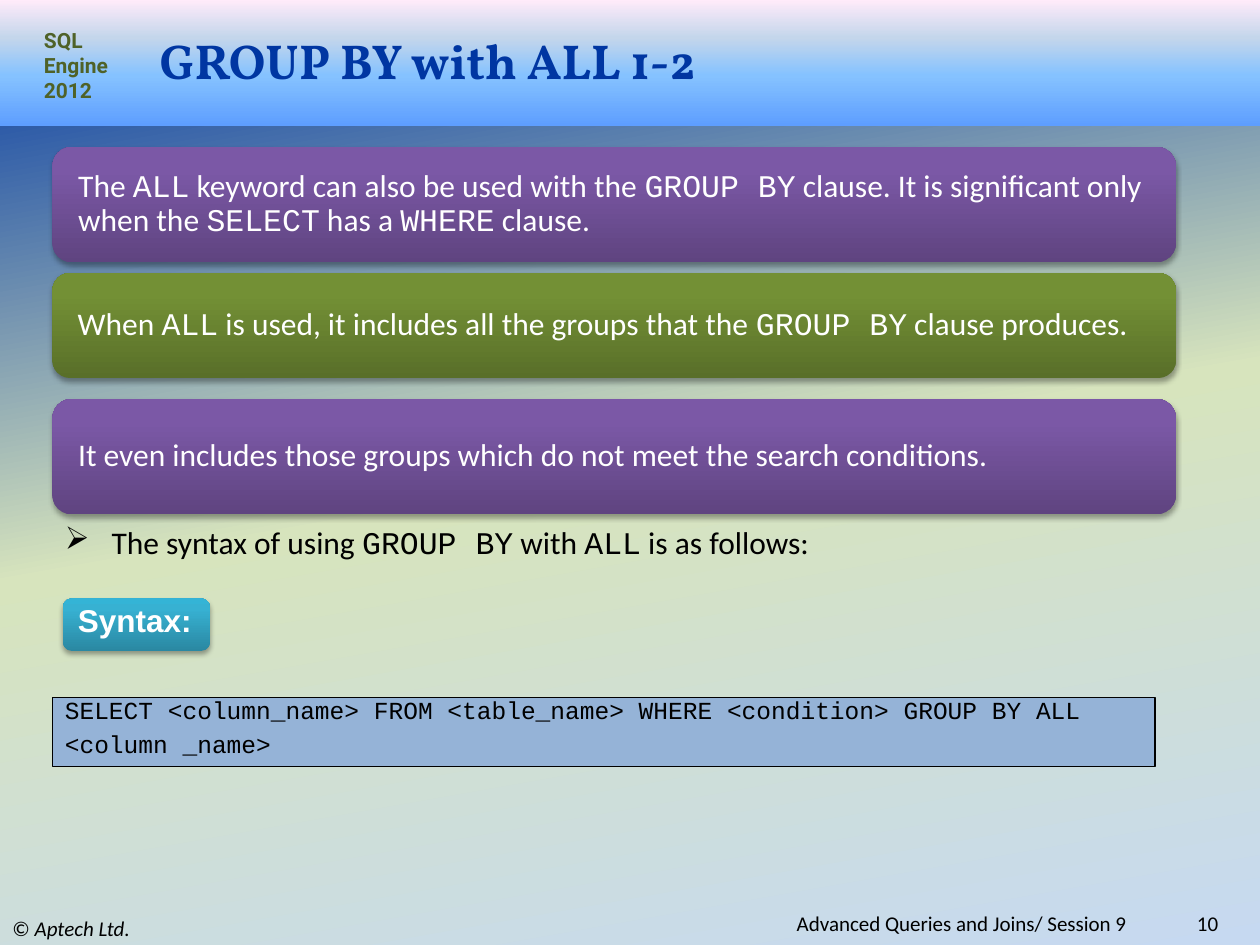
import lxml.etree
import pptx
import pptx.dml.color
import pptx.enum.shapes
import pptx.enum.text
import pptx.oxml.ns
import pptx.util

COLORS = {
    "title": "0036A2", "badge": "4F6228", "white": "FFFFFF", "black": "000000",
    "code": "95B3D7",
}
GRADIENTS = {
    "background": [(0, "0036A2"), (50, "D7E4BD"), (100, "C6D9F1")],
    "header": [(0, "5E9EFF"), (40, "85C2FF"), (70, "C4D6EB"), (100, "FFEBFA")],
    "purple": [(0, "5F4480"), (80, "7B58A6"), (100, "7C57A8")],
    "green": [(0, "596F29"), (80, "739035"), (100, "749334")],
    "teal": [(0, "2A88A2"), (80, "37B1D2"), (100, "34B4D6")],
}
CELL = 1 / 12
SHAPES = pptx.enum.shapes.MSO_SHAPE
ALIGN = pptx.enum.text.PP_ALIGN
ANCHOR = pptx.enum.text.MSO_ANCHOR
CARDS = [
    (14, 11, "purple", "The `ALL` keyword can also be used with the `GROUP BY` clause. "
     "It is significant only when the `SELECT` has a `WHERE` clause."),
    (26, 10, "green", "When `ALL` is used, it includes all the groups that the "
     "`GROUP BY` clause produces."),
    (38, 11, "purple", "It even includes those groups which do not meet the search conditions."),
]


def grid(*cells):
    return [pptx.util.Inches(cell * CELL) for cell in cells]


def color(name):
    return pptx.dml.color.RGBColor.from_string(COLORS[name])


def add_element(parent, tag, **attributes):
    element = lxml.etree.SubElement(parent, pptx.oxml.ns.qn(tag))
    for name, value in attributes.items():
        element.set(name, str(value))
    return element


def paint_gradient(fill, owner, name, angle=90):
    fill.gradient()
    fill.gradient_angle = angle
    stops = owner.xpath(".//a:gradFill/a:gsLst")[0]
    for stop in list(stops):
        stops.remove(stop)
    for position, value in GRADIENTS[name]:
        stop = add_element(stops, "a:gs", pos=position * 1000)
        add_element(stop, "a:srgbClr", val=value)


def add_shadow(shape):
    effects = shape.element.spPr.find(pptx.oxml.ns.qn("a:effectLst"))
    shadow = add_element(effects, "a:outerShdw", blurRad=pptx.util.Pt(3.1),
                         dist=pptx.util.Pt(1.8), dir=90 * 60000, rotWithShape=0)
    shade = add_element(shadow, "a:srgbClr", val=COLORS["black"])
    add_element(shade, "a:alpha", val=35000)


def add_bullet(paragraph, character, indent):
    properties = paragraph._p.get_or_add_pPr()
    properties.set("marL", str(pptx.util.Inches(indent)))
    properties.set("indent", str(-pptx.util.Inches(indent)))
    add_element(properties, "a:buChar", char=character)


def write(shape, text, size=18, font="Calibri", ink="white", bold=None, italic_from=None,
          align=ALIGN.LEFT, anchor=ANCHOR.MIDDLE, spacing=None, gap=0, margins=None, bullet=None):
    frame = shape.text_frame
    frame.word_wrap = True
    frame.vertical_anchor = anchor
    if margins:
        frame.margin_left, frame.margin_right = map(pptx.util.Inches, margins)
    for number, line in enumerate(text.split("\n")):
        paragraph = frame.add_paragraph() if number else frame.paragraphs[0]
        if bullet:
            add_bullet(paragraph, bullet, 0.37)
        paragraph.alignment = align
        if spacing:
            paragraph.line_spacing = spacing
        if number:
            paragraph.space_before = pptx.util.Pt(gap)
        for index, piece in enumerate(line.split("`")):
            if not piece:
                continue
            run = paragraph.add_run()
            run.text = piece
            run.font.size = pptx.util.Pt(size)
            run.font.name = "Courier New" if index % 2 else font
            run.font.bold = bold
            run.font.color.rgb = color(ink)
    if italic_from:
        run.text = text[:italic_from]
        tail = paragraph.add_run()
        tail.text = text[italic_from:]
        tail.font.size, tail.font.name = run.font.size, font
        tail.font.italic = True
        tail.font.color.rgb = color(ink)


def add_label(slide, cells, text, **style):
    write(slide.shapes.add_textbox(*grid(*cells)), text, **{"ink": "black", **style})


def add_panel(slide, cells, gradient, kind=SHAPES.ROUNDED_RECTANGLE, shadow=True):
    shape = slide.shapes.add_shape(kind, *grid(*cells))
    shape.shadow.inherit = False
    shape.line.fill.background()
    paint_gradient(shape.fill, shape.element.spPr, gradient)
    if shadow:
        add_shadow(shape)
    return shape


def add_header(slide):
    title = slide.shapes.title
    header = add_panel(slide, (0, 0, 120, 12), "header", SHAPES.RECTANGLE, shadow=False)
    title.element.addprevious(header.element)
    title.left, title.top, title.width, title.height = grid(14, 3, 100, 5.4)
    write(title, "GROUP BY with ALL 1-2", size=28, font="Vollkorn", ink="title", bold=True)
    add_label(slide, (3, 2, 9, 8.5), "SQL Engine 2012", size=12, font="Roboto",
              ink="badge", bold=True, anchor=ANCHOR.TOP)


def add_syntax(slide):
    add_label(slide, (5, 49.2, 110, 4.8), "The syntax of using `GROUP BY` with `ALL` is as follows:",
              anchor=ANCHOR.TOP, bullet="➢")
    tag = add_panel(slide, (6, 57, 14, 5), "teal")
    write(tag, "Syntax:", font="Arial", bold=True, spacing=0.7)
    box = slide.shapes.add_shape(SHAPES.RECTANGLE, *grid(5, 66.4, 105, 6.6))
    box.shadow.inherit = False
    box.fill.solid()
    box.fill.fore_color.rgb = color("code")
    box.line.color.rgb = color("black")
    box.line.width = pptx.util.Pt(0.75)
    write(box, "SELECT <column_name> FROM <table_name> WHERE <condition> GROUP BY ALL\n<column _name>",
          size=14, font="Courier New", ink="black", anchor=ANCHOR.TOP, spacing=0.7, gap=7.5)


def add_footer(slide):
    add_label(slide, (0, 86.8, 40, 3.2), "© Aptech Ltd.", size=12, italic_from=2)
    add_label(slide, (30, 86.8, 78.5, 2.2), "Advanced Queries and Joins/ Session 9",
              size=12, align=ALIGN.RIGHT)
    add_label(slide, (107, 86.8, 10.2, 2.2), "10", size=12, align=ALIGN.RIGHT)


def main():
    presentation = pptx.Presentation()
    presentation.slide_width, presentation.slide_height = grid(120, 90)
    slide = presentation.slides.add_slide(presentation.slide_layouts[5])
    paint_gradient(slide.background.fill, slide.element, "background", angle=280)
    add_header(slide)
    for row, rows, gradient, text in CARDS:
        card = add_panel(slide, (5, row, 107, rows), gradient)
        write(card, text, spacing=0.9, margins=(0.16, 0.17))
    add_syntax(slide)
    add_footer(slide)
    presentation.save("out.pptx")


if __name__ == "__main__":
    main()
